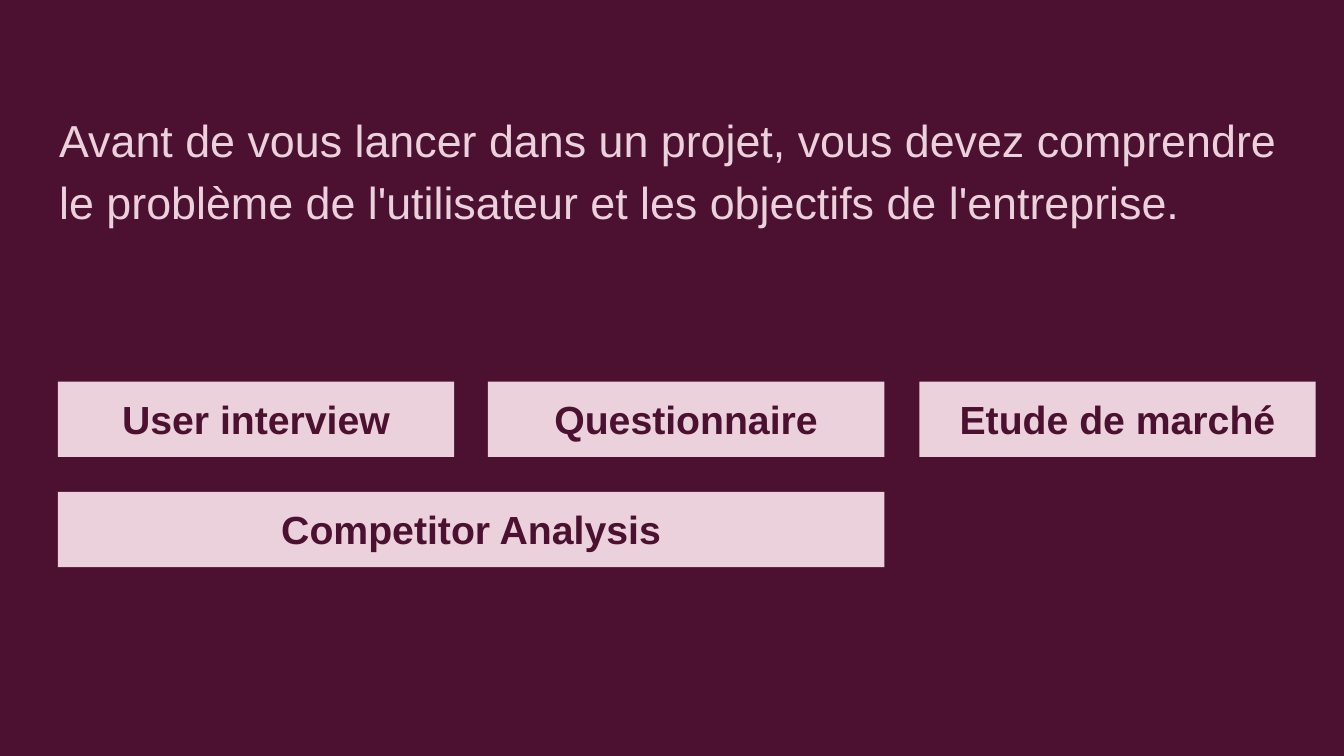
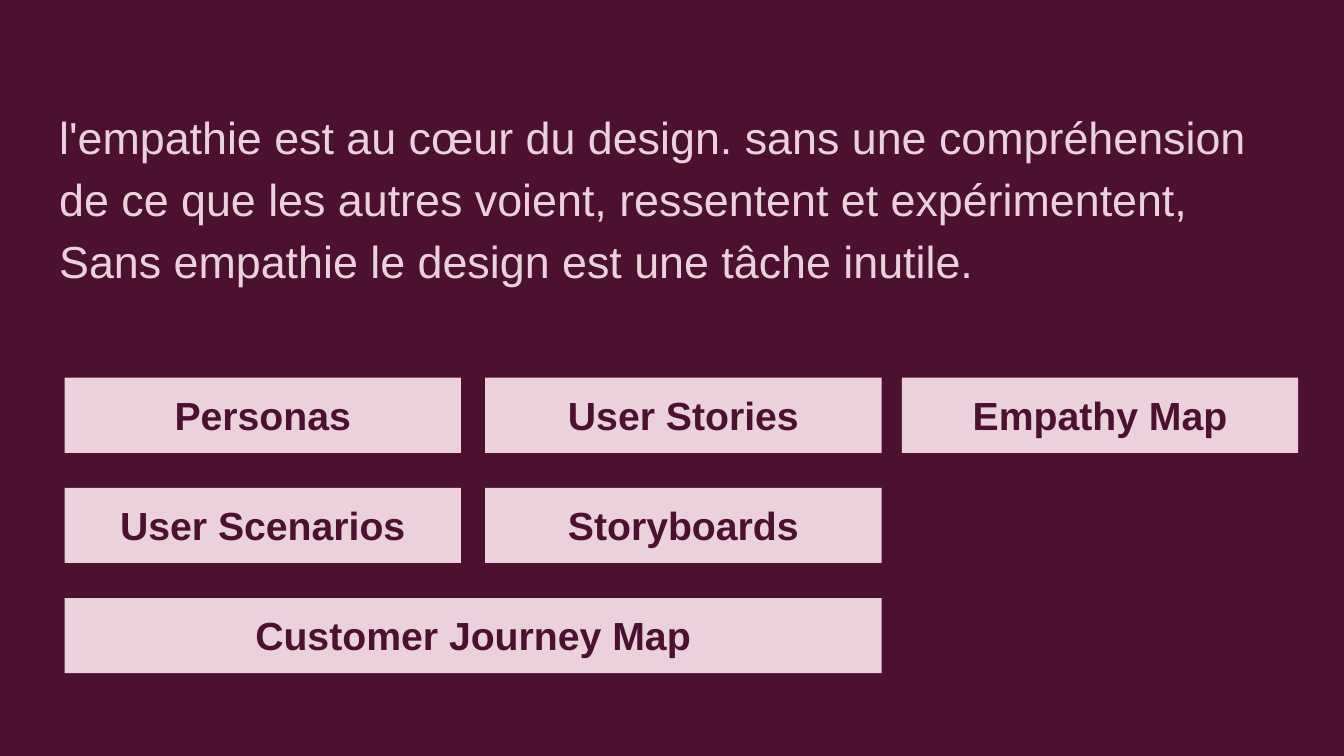
import pptx
import pptx.dml.color
import pptx.enum.shapes
import pptx.enum.text
import pptx.oxml.ns
import pptx.util
from lxml import etree
from pptx.util import Inches

PLUM = "4C1130"
ROSE = "EAD1DC"
FONT = "Arial"
TILE_WIDTH = 2.95
TILE_HEIGHT = 0.56
ROW_STEP = 0.82
MARGINS = {
    side: Inches(0.1)
    for side in ("margin_left", "margin_top", "margin_right", "margin_bottom")
}
TILE_FRAME = {
    **MARGINS,
    "word_wrap": True,
    "auto_size": pptx.enum.text.MSO_AUTO_SIZE.SHAPE_TO_FIT_TEXT,
    "vertical_anchor": pptx.enum.text.MSO_ANCHOR.TOP,
}
BODY_FRAME = {**TILE_FRAME, "auto_size": pptx.enum.text.MSO_AUTO_SIZE.NONE}
BODY_PARAGRAPH = {
    "alignment": pptx.enum.text.PP_ALIGN.LEFT,
    "line_spacing": 1.15,
    "space_before": pptx.util.Pt(0),
    "space_after": pptx.util.Pt(12),
}
TILE_PARAGRAPH = {"alignment": pptx.enum.text.PP_ALIGN.CENTER}
BODY_FONT = {"name": FONT, "size": pptx.util.Pt(24), "bold": False}
TILE_FONT = {"name": FONT, "size": pptx.util.Pt(21), "bold": True}

SLIDES = [
    {
        "statement": "Avant de vous lancer dans un projet, vous devez comprendre "
        "le problème de l'utilisateur et les objectifs de l'entreprise.",
        "statement_box": (0.34, 0.68, 9.32, 4.32),
        "grid_origin": (0.43, 2.84),
        "columns": (0, 3.2, 6.41),
        "tiles": [
            ("User interview", 0, 0, 1),
            ("Questionnaire", 0, 1, 1),
            ("Etude de marché", 0, 2, 1),
            ("Competitor Analysis", 1, 0, 2),
        ],
    },
    {
        "statement": "l'empathie est au cœur du design. sans une compréhension "
        "de ce que les autres voient, ressentent et expérimentent, "
        "Sans empathie le design est une tâche inutile.",
        "statement_box": (0.34, 0.66, 9.32, 3.74),
        "grid_origin": (0.48, 2.81),
        "columns": (0, 3.13, 6.23),
        "tiles": [
            ("Personas", 0, 0, 1),
            ("User Stories", 0, 1, 1),
            ("Storyboards", 1, 1, 1),
            ("User Scenarios", 1, 0, 1),
            ("Customer Journey Map", 2, 0, 2),
            ("Empathy Map", 0, 2, 1),
        ],
    },
]


def paint(target, color):
    if hasattr(target, "solid"):
        target.solid()
        target = target.fore_color
    target.rgb = pptx.dml.color.RGBColor.from_string(color)


def apply_format(target, values):
    for name, value in values.items():
        setattr(target, name, value)


def write_text(shape, text, frame_format, paragraph_format, font_format, color):
    frame = shape.text_frame
    apply_format(frame, frame_format)
    para = frame.paragraphs[0]
    apply_format(para, paragraph_format)
    span = para.add_run()
    span.text = text
    apply_format(span.font, font_format)
    paint(span.font.color, color)
    return para


def add_statement(page, text, box):
    body = page.placeholders[1]
    names = ("left", "top", "width", "height")
    apply_format(body, dict(zip(names, map(Inches, box))))
    para = write_text(body, text, BODY_FRAME, BODY_PARAGRAPH, BODY_FONT, ROSE)
    properties = para._p.get_or_add_pPr()
    properties.set("marL", "0")
    properties.set("indent", "0")
    etree.SubElement(properties, pptx.oxml.ns.qn("a:buNone"))


def add_tiles(page, tiles, origin, columns):
    left, top = origin
    for label, row, column, count in tiles:
        width = columns[column + count - 1] - columns[column] + TILE_WIDTH
        tile = page.shapes.add_shape(
            pptx.enum.shapes.MSO_SHAPE.RECTANGLE,
            Inches(left + columns[column]),
            Inches(top + row * ROW_STEP),
            Inches(width),
            Inches(TILE_HEIGHT),
        )
        tile.shadow.inherit = False
        paint(tile.fill, ROSE)
        tile.line.fill.background()
        write_text(tile, label, TILE_FRAME, TILE_PARAGRAPH, TILE_FONT, PLUM)


def add_method_slide(deck, content):
    page = deck.slides.add_slide(deck.slide_layouts[1])
    paint(page.background.fill, PLUM)
    title = page.shapes.title.element
    title.getparent().remove(title)
    add_statement(page, content["statement"], content["statement_box"])
    add_tiles(page, content["tiles"], content["grid_origin"], content["columns"])


def main():
    deck = pptx.Presentation()
    deck.slide_width = Inches(10)
    deck.slide_height = deck.slide_width * 9 // 16
    for content in SLIDES:
        add_method_slide(deck, content)
    deck.save("out.pptx")


if __name__ == "__main__":
    main()
